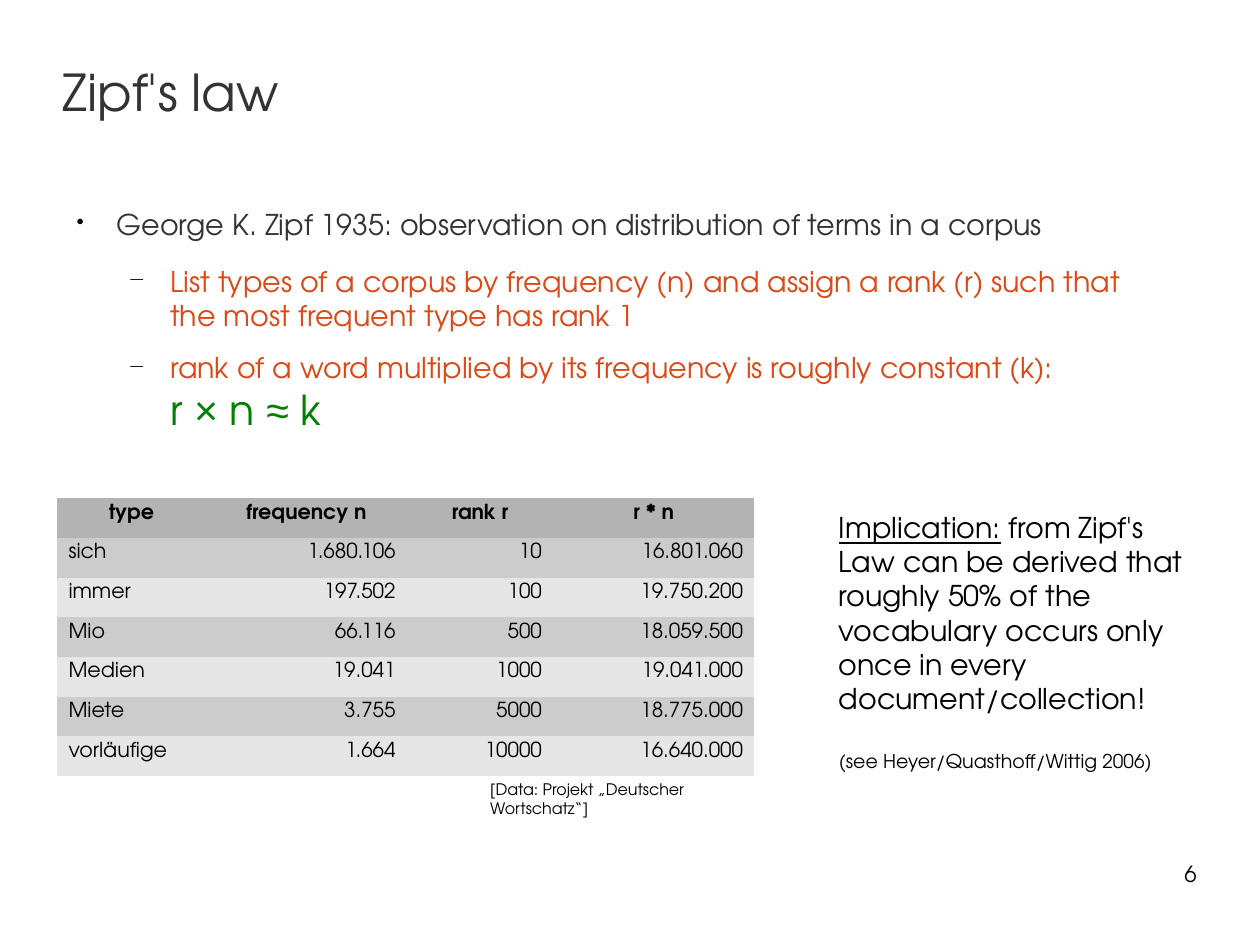
"""Build the slide on Zipf's law with its frequency table."""

from dataclasses import dataclass

from lxml import etree
from pptx import Presentation
from pptx.dml.color import RGBColor
from pptx.enum.text import MSO_ANCHOR, PP_ALIGN
from pptx.oxml.ns import qn
from pptx.slide import Slide
from pptx.text.text import Font, TextFrame, _Paragraph
from pptx.util import Inches, Pt

LEFT, CENTER, RIGHT = PP_ALIGN.LEFT, PP_ALIGN.CENTER, PP_ALIGN.RIGHT
TOP, MIDDLE = MSO_ANCHOR.TOP, MSO_ANCHOR.MIDDLE
NO_GRID_STYLE = "{2D5ABB26-0587-4C30-8999-92F81FD0307C}"
CM_PER_INCH = 2.54


@dataclass(frozen=True)
class Theme:
    face: str = "TeX Gyre Adventor"
    symbol_face: str = "Arial"
    ink: str = "000000"
    heading: str = "333333"
    accent: str = "DD4814"
    formula: str = "008000"
    header_fill: str = "B3B3B3"
    row_fills: tuple[str, str] = ("CCCCCC", "E6E6E6")
    title_size: int = 32
    formula_size: int = 26
    body_size: int = 18
    number_size: int = 14
    table_size: int = 13
    citation_size: int = 12
    source_size: int = 10


THEME = Theme()


@dataclass(frozen=True)
class Box:
    left: float
    top: float
    width: float
    height: float


@dataclass(frozen=True)
class BulletLevel:
    symbol: str
    percent: int
    indent: float
    space_after: float
    color: str


@dataclass(frozen=True)
class Caption:
    text: str
    box: Box
    size: int
    color: str = THEME.ink
    align: PP_ALIGN = LEFT
    anchor: MSO_ANCHOR = TOP
    padded: bool = False


OBSERVATION = BulletLevel("•", 75, 0.47, 14.1, THEME.heading)
DETAIL = BulletLevel("―", 45, 0.94, 11.3, THEME.accent)
HANGING = 0.35

POINTS = (
    (OBSERVATION, "George K. Zipf 1935: observation on distribution of terms in a corpus"),
    (DETAIL, "List types of a corpus by frequency (n) and assign a rank (r) such that "
             "the most frequent type has rank 1"),
    (DETAIL, "rank of a word multiplied by its frequency is roughly constant (k): "),
)
FORMULA = (
    ("r ", THEME.face),
    ("× ", THEME.symbol_face),
    ("n ", THEME.face),
    ("≈", THEME.symbol_face),
    (" k", THEME.face),
)
CAPTIONS = (
    Caption("Zipf's law", Box(0.55, 0.33, 8.43, 0.93), THEME.title_size,
            THEME.heading, anchor=MIDDLE),
    Caption("[Data: Projekt „Deutscher Wortschatz“]", Box(4.19, 6.77, 2.54, 0.48),
            THEME.source_size, padded=True),
    Caption("6", Box(7.9, 7.53, 2.57, 0.57), THEME.number_size, align=RIGHT),
)
COLUMN_WIDTHS = (1.3, 1.76, 1.28, 1.76)
FREQUENCIES = (
    ("type", "frequency n", "rank r", "r * n"),
    ("sich", "1.680.106", "10", "16.801.060"),
    ("immer", "197.502", "100", "19.750.200"),
    ("Mio", "66.116", "500", "18.059.500"),
    ("Medien", "19.041", "1000", "19.041.000"),
    ("Miete", "3.755", "5000", "18.775.000"),
    ("vorläufige", "1.664", "10000", "16.640.000"),
)


def style(font: Font, size: int, color: str = THEME.ink, face: str = THEME.face) -> None:
    font.name = face
    font.size = Pt(size)
    font.color.rgb = RGBColor.from_string(color)


def add_frame(slide: Slide, box: Box, padded: bool = False) -> TextFrame:
    frame = slide.shapes.add_textbox(
        Inches(box.left), Inches(box.top), Inches(box.width), Inches(box.height)
    ).text_frame
    frame.word_wrap = True
    if not padded:
        frame.margin_left = frame.margin_right = 0
        frame.margin_top = frame.margin_bottom = 0
    return frame


def add_caption(slide: Slide, caption: Caption) -> None:
    frame = add_frame(slide, caption.box, caption.padded)
    frame.vertical_anchor = caption.anchor
    line = frame.paragraphs[0]
    line.text = caption.text
    line.alignment = caption.align
    style(line.font, caption.size, caption.color)


def set_bullet(point: _Paragraph, level: BulletLevel) -> None:
    point.space_after = Pt(level.space_after)
    properties = point._p.get_or_add_pPr()
    properties.set("marL", str(Inches(level.indent)))
    properties.set("indent", str(-Inches(HANGING)))
    bullet_color = etree.SubElement(properties, qn("a:buClr"))
    etree.SubElement(bullet_color, qn("a:srgbClr"), val=THEME.ink)
    etree.SubElement(properties, qn("a:buSzPct"), val=str(level.percent * 1000))
    etree.SubElement(properties, qn("a:buChar"), char=level.symbol)


def add_points(slide: Slide) -> None:
    frame = add_frame(slide, Box(0.55, 1.81, 9.7, 2.29))
    for index, (level, text) in enumerate(POINTS):
        point = frame.add_paragraph() if index else frame.paragraphs[0]
        point.text = text
        point.level = int(level is DETAIL)
        set_bullet(point, level)
        style(point.font, THEME.body_size, level.color)
    point.add_line_break()
    for text, face in FORMULA:
        term = point.add_run()
        term.text = text
        style(term.font, THEME.formula_size, THEME.formula, face)


def add_frequency_table(slide: Slide) -> None:
    table = slide.shapes.add_table(
        len(FREQUENCIES), len(COLUMN_WIDTHS),
        Inches(0.5), Inches(4.36), Inches(sum(COLUMN_WIDTHS)), Inches(2.43)
    ).table
    table.first_row = table.horz_banding = False
    table._tbl.tblPr.find(qn("a:tableStyleId")).text = NO_GRID_STYLE
    for column, width in zip(table.columns, COLUMN_WIDTHS):
        column.width = Inches(width)
    for row, values in enumerate(FREQUENCIES):
        is_header = row == 0
        fill = THEME.header_fill if is_header else THEME.row_fills[(row - 1) % 2]
        for column, value in enumerate(values):
            cell = table.cell(row, column)
            cell.fill.solid()
            cell.fill.fore_color.rgb = RGBColor.from_string(fill)
            entry = cell.text_frame.paragraphs[0]
            entry.text = value
            entry.alignment = CENTER if is_header else RIGHT if column else LEFT
            style(entry.font, THEME.table_size)
            entry.font.bold = is_header


def add_implication(slide: Slide) -> None:
    frame = add_frame(slide, Box(7.24, 4.41, 3.39, 2.71), padded=True)
    implication = frame.paragraphs[0]
    style(implication.font, THEME.body_size)
    lead = implication.add_run()
    lead.text = "Implication:"
    lead.font.underline = True
    implication.add_run().text = (
        " from Zipf's Law can be derived that roughly 50% of the vocabulary "
        "occurs only once in every document/collection!"
    )
    citation = frame.add_paragraph()
    citation.text = "(see Heyer/Quasthoff/Wittig 2006)"
    citation.space_before = Pt(21.6)
    style(citation.font, THEME.citation_size)


def main() -> None:
    deck = Presentation()
    deck.slide_width = Inches(28 / CM_PER_INCH)
    deck.slide_height = Inches(21 / CM_PER_INCH)
    slide = deck.slides.add_slide(deck.slide_layouts[6])
    for caption in CAPTIONS:
        add_caption(slide, caption)
    add_points(slide)
    add_frequency_table(slide)
    add_implication(slide)
    deck.save("out.pptx")


if __name__ == "__main__":
    main()
